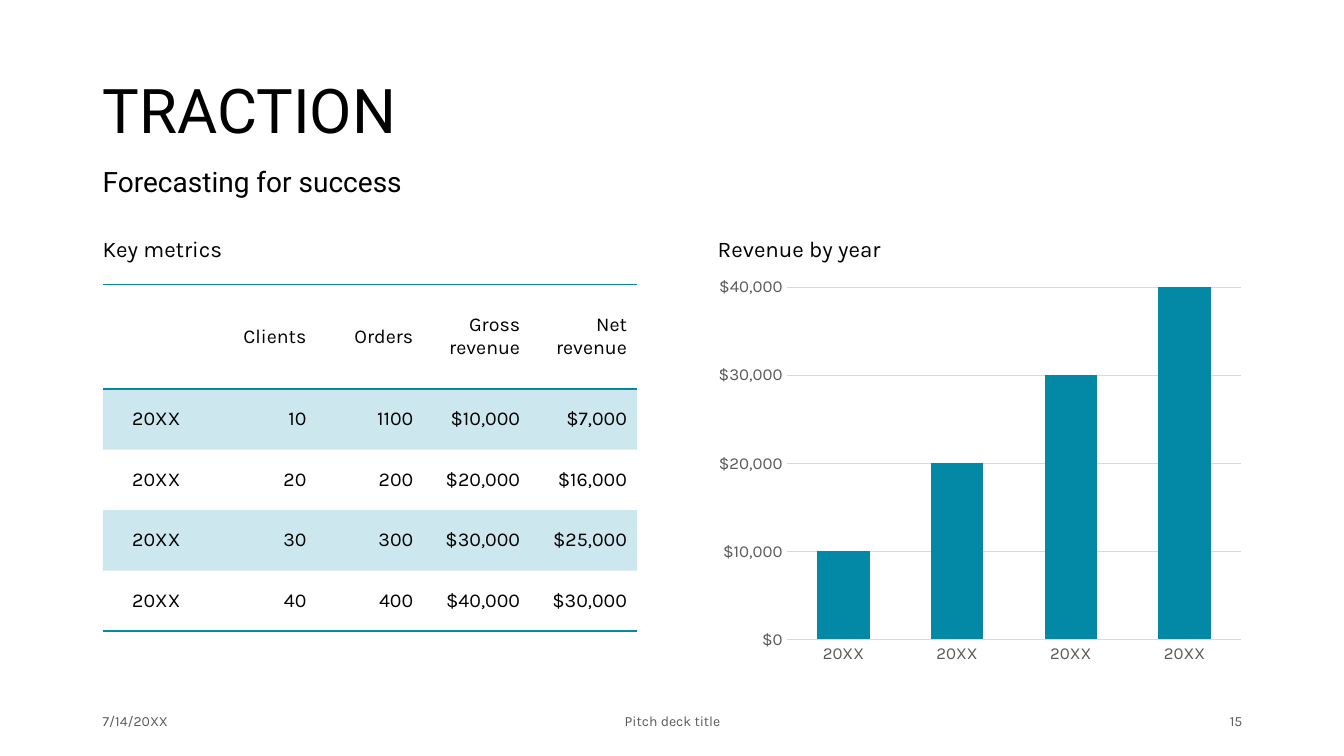
"""Build the traction slide with key metrics and a revenue chart."""
import dataclasses
import typing

import lxml.etree
import pptx
import pptx.chart.data
import pptx.dml.color
import pptx.enum.chart
import pptx.enum.text
import pptx.oxml.ns
import pptx.util

RGB = pptx.dml.color.RGBColor
Inches = pptx.util.Inches
Pt = pptx.util.Pt
ALIGN = pptx.enum.text.PP_ALIGN
ANCHOR = pptx.enum.text.MSO_ANCHOR
TICK = pptx.enum.chart.XL_TICK_MARK

BLACK = RGB(0x00, 0x00, 0x00)
GREY = RGB(0x59, 0x59, 0x59)
RULE = RGB(0xD9, 0xD9, 0xD9)
TEAL = RGB(0x03, 0x88, 0xA6)
PLAIN = "{2D5ABB26-0587-4C30-8999-92F81FD0307C}"


@dataclasses.dataclass
class Label:
    """A line of text and its place."""
    text: str
    box: tuple[float, float, float, float]
    size: int
    face: str = "Karla"
    color: RGB = BLACK
    align: ALIGN = ALIGN.LEFT
    anchor: ANCHOR = ANCHOR.MIDDLE
    space: float = 0.9


LABELS = [
    Label("TRACTION", (0.92, 0.4, 11.5, 1.45), 44, "Roboto"),
    Label("Forecasting for success", (0.92, 1.62, 9.1, 0.4), 20, "Roboto",
          anchor=ANCHOR.TOP),
    Label("Key metrics", (0.92, 1.85, 5.64, 0.8), 16, anchor=ANCHOR.BOTTOM),
    Label("Revenue by year", (7.02, 1.85, 5.67, 0.8), 16, anchor=ANCHOR.BOTTOM),
]
FOOTERS = [
    ("7/14/20XX", 0.92, 3, ALIGN.LEFT),
    ("Pitch deck title", 4.42, 4.5, ALIGN.CENTER),
    ("15", 9.42, 3, ALIGN.RIGHT),
]
ROWS = [
    ("", "Clients", "Orders", "Gross revenue", "Net revenue"),
    ("20XX", "10", "1100", "$10,000", "$7,000"),
    ("20XX", "20", "200", "$20,000", "$16,000"),
    ("20XX", "30", "300", "$30,000", "$25,000"),
    ("20XX", "40", "400", "$40,000", "$30,000"),
]


def style(item: typing.Any, form: dict[str, typing.Any]) -> None:
    """Set each format value on an item."""
    for name, value in form.items():
        setattr(item, name, value)


def ink(font: typing.Any, size: int, face: str, color: RGB) -> None:
    """Set size, face and colour of a font."""
    style(font, {"size": Pt(size), "name": face})
    font.color.rgb = color


def stroke(line: typing.Any, color: RGB) -> None:
    """Set a thin coloured line."""
    line.width = Pt(0.75)
    line.color.rgb = color


def write(slide: typing.Any, label: Label) -> None:
    """Draw one label."""
    frame = slide.shapes.add_textbox(*map(Inches, label.box)).text_frame
    style(frame, {"word_wrap": True, "vertical_anchor": label.anchor})
    para = frame.paragraphs[0]
    style(para, {"text": label.text, "alignment": label.align,
                 "line_spacing": label.space})
    ink(para.runs[0].font, label.size, label.face, label.color)


def edge(cell: typing.Any, tag: str) -> None:
    """Add a teal border on one side of a cell."""
    qn = pptx.oxml.ns.qn
    line = lxml.etree.Element(qn(tag), w=str(Pt(1)))
    fill = lxml.etree.SubElement(line, qn("a:solidFill"))
    lxml.etree.SubElement(fill, qn("a:srgbClr"), val=str(TEAL))
    cell._tc.get_or_add_tcPr().insert(0, line)


def shade(cell: typing.Any, band: bool) -> None:
    """Fill a cell with pale teal or with nothing."""
    qn = pptx.oxml.ns.qn
    if not band:
        cell.fill.background()
        return
    cell.fill.solid()
    cell.fill.fore_color.rgb = TEAL
    tint = cell._tc.tcPr.find(f".//{qn('a:srgbClr')}")
    lxml.etree.SubElement(tint, qn("a:alpha"), val="20000")


def tabulate(slide: typing.Any) -> None:
    """Draw the table of key metrics."""
    box = map(Inches, (1.02, 2.82, 5.3, 3.44))
    table = slide.shapes.add_table(len(ROWS), len(ROWS[0]), *box).table
    style(table, {"first_row": False, "horz_banding": False})
    table._tbl.tblPr.find(pptx.oxml.ns.qn("a:tableStyleId")).text = PLAIN
    for col in table.columns:
        col.width = Inches(1.06)
    for i, row in enumerate(ROWS):
        table.rows[i].height = Inches(0.6 if i else 1.04)
        for j, text in enumerate(row):
            cell = table.cell(i, j)
            style(cell, {"text": text, "vertical_anchor": ANCHOR.MIDDLE})
            para = cell.text_frame.paragraphs[0]
            para.alignment = ALIGN.RIGHT if j else ALIGN.CENTER
            ink(para.font, 14, "Karla", BLACK)
            shade(cell, i % 2 == 1)
            if i in (0, len(ROWS) - 1):
                edge(cell, "a:lnB")
            if i == 0:
                edge(cell, "a:lnT")


def plot(slide: typing.Any) -> None:
    """Draw the chart of revenue by year."""
    data = pptx.chart.data.CategoryChartData()
    data.categories = ["20XX"] * 4
    data.add_series("Series 1", (10000, 20000, 30000, 40000))
    kind = pptx.enum.chart.XL_CHART_TYPE.COLUMN_CLUSTERED
    box = map(Inches, (7.02, 2.67, 5.4, 3.99))
    chart = slide.shapes.add_chart(kind, *box, data).chart
    style(chart, {"has_legend": False, "has_title": False})
    ink(chart.font, 10, "Karla", BLACK)
    bars = chart.plots[0]
    style(bars, {"gap_width": 118, "overlap": -3, "vary_by_categories": False})
    fill = bars.series[0].format.fill
    fill.solid()
    fill.fore_color.rgb = TEAL
    cats, vals = chart.category_axis, chart.value_axis
    for axis in (cats, vals):
        style(axis, {"major_tick_mark": TICK.NONE, "minor_tick_mark": TICK.NONE})
        ink(axis.tick_labels.font, 12, "Karla", GREY)
    style(vals, {"minimum_scale": 0, "maximum_scale": 40000,
                 "major_unit": 10000, "has_major_gridlines": True})
    style(vals.tick_labels, {"number_format": "[$$-409]#,##0",
                             "number_format_is_linked": False})
    stroke(cats.format.line, RULE)
    stroke(vals.major_gridlines.format.line, RULE)
    vals.format.line.fill.background()


def main() -> None:
    """Build and save the deck."""
    deck = pptx.Presentation()
    style(deck, {"slide_width": Inches(13.33), "slide_height": Inches(7.5)})
    slide = deck.slides.add_slide(deck.slide_layouts[6])
    for label in LABELS:
        write(slide, label)
    tabulate(slide)
    plot(slide)
    for text, left, width, align in FOOTERS:
        write(slide, Label(text, (left, 6.95, width, 0.4), 10, color=GREY,
                           align=align, space=1.0))
    deck.save("out.pptx")


if __name__ == "__main__":
    main()
